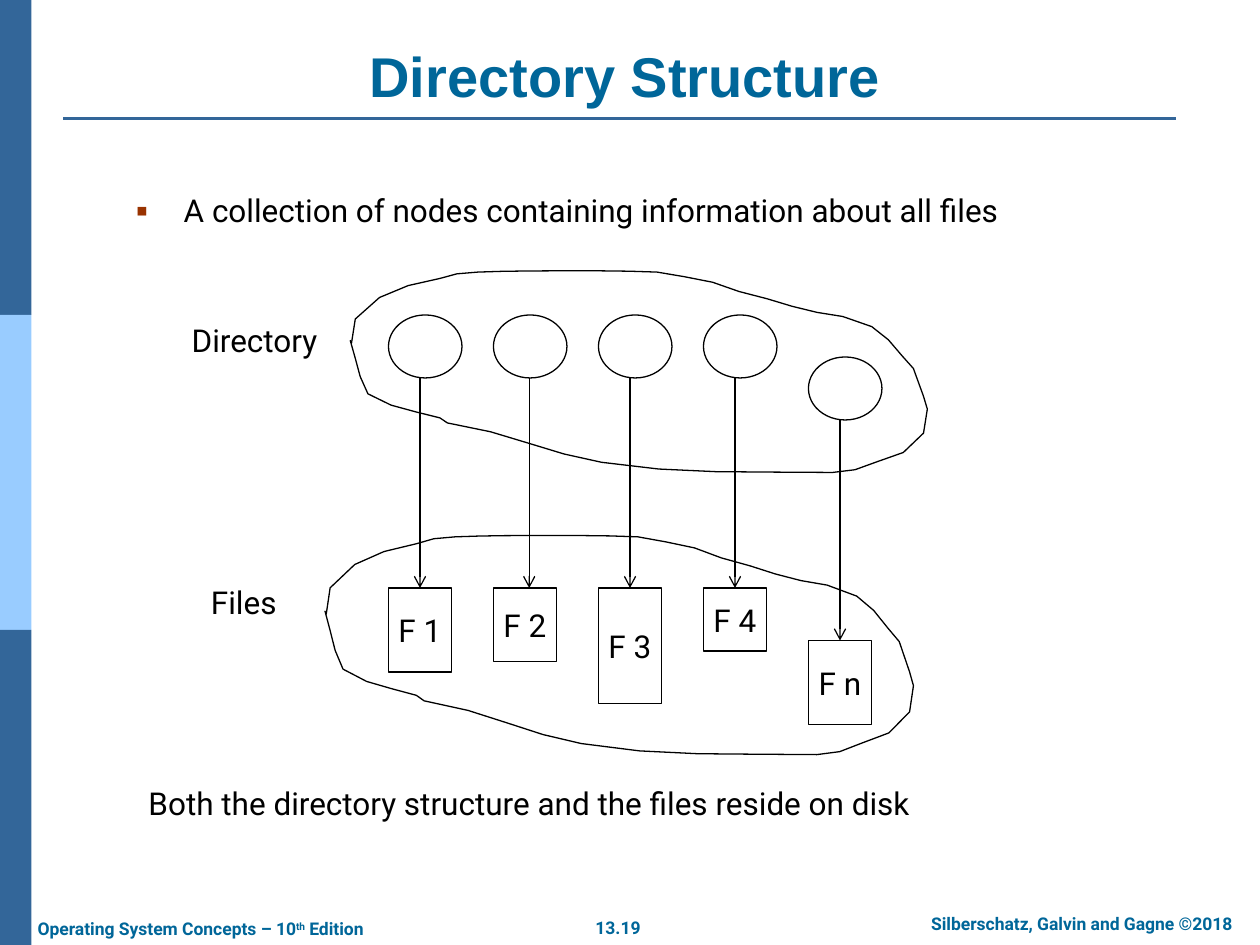
"""Build the Directory Structure slide with its directory and file diagram."""
import math
from lxml import etree
from pptx import Presentation
from pptx import util as u
from pptx.dml.color import RGBColor
from pptx.enum import shapes, text
from pptx.oxml import ns

HUES = {"bar": "336699", "pale": "99CCFF", "title": "006699",
        "ink": "000000", "paper": "FFFFFF", "mark": "993300"}
MID = text.PP_ALIGN.CENTER
LEFT = text.PP_ALIGN.LEFT
KIND = shapes.MSO_SHAPE

deck = Presentation()
deck.slide_width, deck.slide_height = u.Inches(10), u.Inches(7.5)
slide = deck.slides.add_slide(deck.slide_layouts[5])
tree = slide.shapes


def style(shape, fill=None, line=None):
    """Set the fill and outline of a shape and drop its shadow."""
    shape.shadow.inherit = False
    if fill:
        shape.fill.solid()
        shape.fill.fore_color.rgb = RGBColor.from_string(HUES[fill])
    else:
        shape.fill.background()
    if line:
        shape.line.color.rgb = RGBColor.from_string(HUES[line])
        shape.line.width = u.Pt(0.75)
    else:
        shape.line.fill.background()


def write(shape, runs, size=18, hue="ink", bold=False, align=MID,
          anchor=text.MSO_ANCHOR.MIDDLE, wrap=False, face="Roboto"):
    """Fill a shape with one paragraph and return it."""
    frame = shape.text_frame
    frame.word_wrap, frame.vertical_anchor = wrap, anchor
    para = frame.paragraphs[0]
    para.alignment = align
    for words in runs:
        para.add_run().text = words
    font = para.font
    font.name, font.size, font.bold = face, u.Pt(size), bold
    font.color.rgb = RGBColor.from_string(HUES[hue])
    return para


for row, hue in enumerate(("bar", "pale", "bar")):
    bar = tree.add_shape(KIND.RECTANGLE, 0, u.Inches(2.5 * row), u.Inches(0.25), u.Inches(2.5))
    style(bar, hue)

title = tree.title
title.left, title.top = u.Inches(0.46), u.Inches(0.28)
title.width, title.height = u.Inches(9), u.Inches(0.63)
write(title, ["Directory Structure"], 32, "title", True,
      anchor=text.MSO_ANCHOR.BOTTOM, wrap=True, face="Arial")

feet = [(4.62, 7.23, 0.57, ["13.19"], MID, False),
        (7.1, 7.2, 2.97, ["Silberschatz, Galvin and Gagne ©2018"], MID, True),
        (0.2, 7.24, 2.99, ["Operating System Concepts – 10", "th", " Edition"], LEFT, False)]
for left, top, wide, runs, align, wrap in feet:
    box = tree.add_textbox(u.Inches(left), u.Inches(top), u.Inches(wide), u.Inches(0.27))
    para = write(box, runs, 10, "title", True, align, text.MSO_ANCHOR.TOP, wrap)
para.runs[1].font._element.set("baseline", "30000")

point = tree.add_textbox(u.Inches(0.98), u.Inches(1.5), u.Inches(8.14), u.Inches(0.39))
para = write(point, ["A collection of nodes containing information about all files"],
             align=LEFT, anchor=text.MSO_ANCHOR.TOP, wrap=True)
para.line_spacing = 0.9
props = para._p.get_or_add_pPr()
props.set("marL", str(u.Inches(0.38)))
props.set("indent", str(-u.Inches(0.38)))
spot = props.find(ns.qn("a:defRPr"))
tint = etree.Element(ns.qn("a:buClr"))
etree.SubElement(tint, ns.qn("a:srgbClr"), val=HUES["mark"])
for node in (tint, etree.Element(ns.qn("a:buSzPct"), val="110000"),
             etree.Element(ns.qn("a:buFont"), typeface="Arial"),
             etree.Element(ns.qn("a:buChar"), char="▪")):
    spot.addprevious(node)

UNIT = u.Inches(1) // 12
files = [("F 1", 30, 56, 8, 40), ("F 2", 30, 56, 7, 50.4), ("F 3", 30, 56, 11, 60),
         ("F 4", 30, 56, 6, 70), ("F n", 34, 61, 8, 80)]
wires = [(u.Inches(0.5), u.Inches(0.94), u.Inches(9.33), u.Inches(0.94), "bar", 1.5, False)]
for col, (name, top, low, high, mid) in enumerate(files):
    left = (37 + 10 * col) * UNIT
    node = tree.add_shape(KIND.OVAL, left, top * UNIT, 7 * UNIT, 6 * UNIT)
    style(node, "paper", "ink")
    file = tree.add_shape(KIND.RECTANGLE, left, low * UNIT, 6 * UNIT, high * UNIT)
    style(file, "paper", "ink")
    write(file, [name])
    across = int(mid * UNIT)
    wires.append((across, (top + 6) * UNIT, across, low * UNIT, "ink", 0.75, True))

for x1, y1, x2, y2, hue, wide, tip in wires:
    wire = tree.add_connector(shapes.MSO_CONNECTOR.STRAIGHT, x1, y1, x2, y2)
    wire.line.color.rgb = RGBColor.from_string(HUES[hue])
    wire.line.width = u.Pt(wide)
    if tip:
        etree.SubElement(wire.line._get_or_add_ln(), ns.qn("a:tailEnd"), type="arrow")
    etree.SubElement(wire._element.spPr, ns.qn("a:effectLst"))

curves = [
    (2.8, 2.65, 2.79, 2.58, 2.82, 2.53), (2.99, 2.31, 3.23, 2.26, 3.49, 2.21),
    (3.67, 2.17, 3.57, 2.17, 3.79, 2.16), (4.04, 2.15, 4.29, 2.15, 4.55, 2.15),
    (4.77, 2.15, 4.99, 2.15, 5.21, 2.16), (5.35, 2.17, 5.5, 2.22, 5.65, 2.24),
    (5.78, 2.3, 5.93, 2.33, 6.08, 2.37), (6.15, 2.4, 6.2, 2.41, 6.28, 2.43),
    (6.42, 2.47, 6.53, 2.49, 6.68, 2.51), (6.76, 2.54, 6.84, 2.55, 6.91, 2.59),
    (7.01, 2.64, 7.08, 2.74, 7.15, 2.82), (7.18, 2.86, 7.22, 2.88, 7.24, 2.92),
    (7.28, 2.99, 7.3, 3.06, 7.32, 3.14), (7.33, 3.17, 7.35, 3.24, 7.35, 3.24),
    (7.35, 3.28, 7.35, 3.37, 7.32, 3.43), (7.26, 3.56, 7.08, 3.63, 6.94, 3.66),
    (6.84, 3.73, 6.72, 3.72, 6.6, 3.74), (5.96, 3.73, 5.38, 3.76, 4.77, 3.66),
    (4.37, 3.6, 3.99, 3.41, 3.6, 3.36), (3.58, 3.36, 3.57, 3.35, 3.55, 3.35),
    (3.53, 3.34, 3.51, 3.32, 3.49, 3.31), (3.29, 3.25, 3.1, 3.24, 2.92, 3.12),
    (2.86, 3.03, 2.85, 2.94, 2.82, 2.84), (2.82, 2.84, 2.78, 2.72, 2.78, 2.7)]
trace = [(2.79, 2.72)]
for x1, y1, x2, y2, x3, y3 in curves:
    x0, y0 = trace[-1]
    steps = min(4, math.ceil(math.dist((x0, y0), (x3, y3)) / 0.25))
    for step in range(1, steps + 1):
        t = step / steps
        parts = ((1 - t) ** 3, 3 * t * (1 - t) ** 2, 3 * t * t * (1 - t), t ** 3)
        trace.append((sum(a * b for a, b in zip(parts, (x0, x1, x2, x3))),
                      sum(a * b for a, b in zip(parts, (y0, y1, y2, y3)))))

for left, top, wide, high in ((2.78, 2.15, 4.58, 1.61), (2.58, 4.25, 4.67, 1.75)):
    dots = [(u.Inches(left + (x - 2.78) * wide / 4.57),
             u.Inches(top + (y - 2.15) * high / 1.6)) for x, y in trace]
    pen = tree.build_freeform(*dots[0])
    pen.add_line_segments(dots[1:], close=True)
    style(pen.convert_to_shape(), line="ink")

for name, left, top, wide in (("Directory", 1.42, 2.5, 1.2), ("Files", 1.57, 4.58, 0.73)):
    label = tree.add_textbox(u.Inches(left), u.Inches(top), u.Inches(wide), u.Inches(0.4))
    write(label, [name])

note = tree.add_textbox(u.Inches(1.08), u.Inches(6.17), u.Inches(8.31), u.Inches(0.42))
write(note, ["Both the directory structure and the files reside on disk"],
      align=LEFT, anchor=text.MSO_ANCHOR.TOP, wrap=True)

deck.save("out.pptx")
